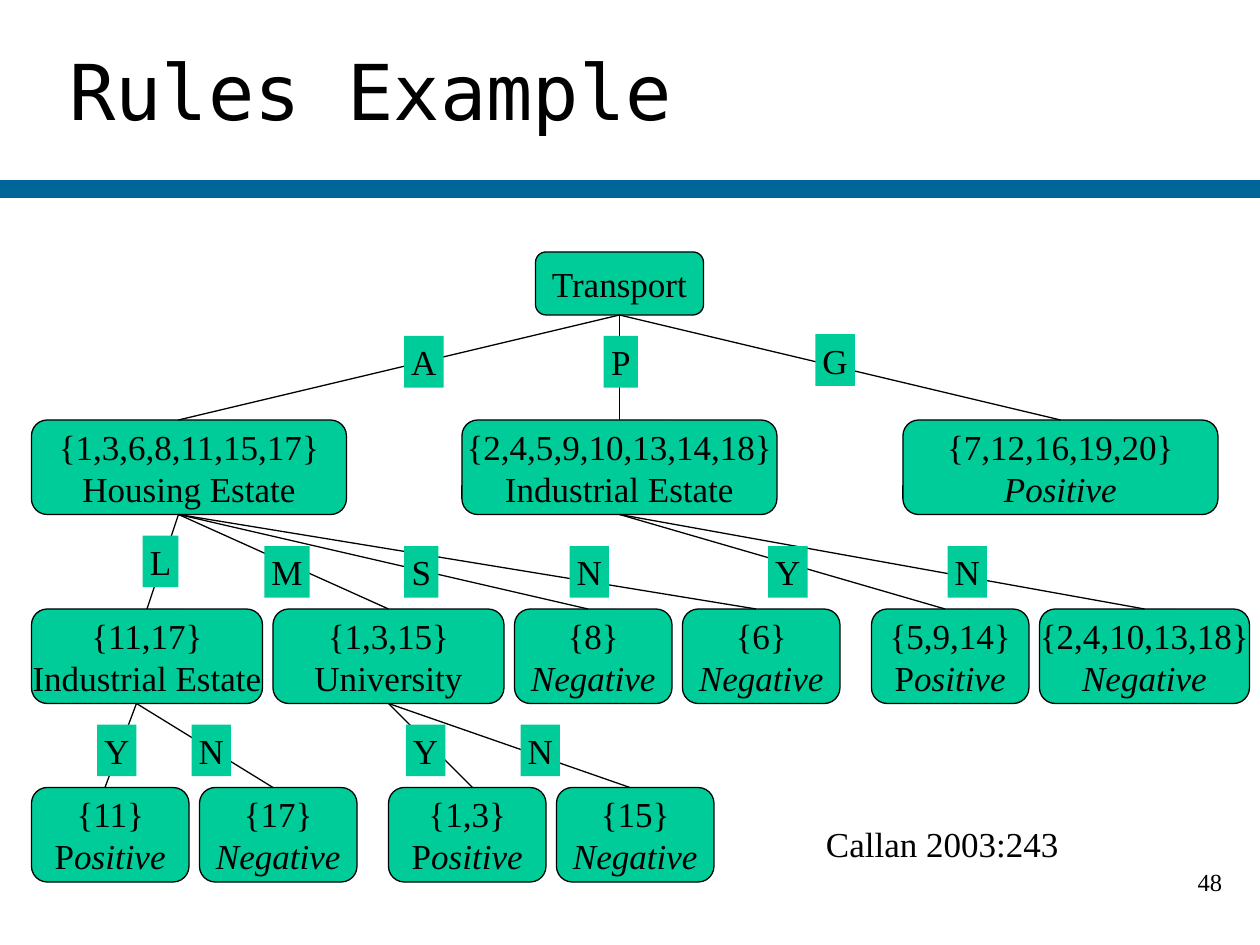
from lxml.etree import SubElement
from pptx import Presentation
from pptx.dml.color import RGBColor
from pptx.enum.shapes import MSO_CONNECTOR as Line, MSO_SHAPE as Shape
from pptx.enum.text import MSO_ANCHOR as Anchor, MSO_AUTO_SIZE as Fit, PP_ALIGN as Align
from pptx.oxml.ns import qn
from pptx.util import Pt

COLORS = {"node": "00CC99", "ink": "000000", "band": "006599"}
SERIF, MONO = "Times New Roman", "DejaVu Sans Mono"
TITLE = "Rules Example"

# Top and height of each level of the tree
ROWS = [(144, 36), (240, 54), (348, 54), (450, 54)]

# key: row, left, width, first line, upright text, italic text
NODES = {
    "root": (0, 306, 96, "Transport", "", ""),
    "house": (1, 18, 180, "{1,3,6,8,11,15,17}", "Housing Estate", ""),
    "plant": (1, 264, 180, "{2,4,5,9,10,13,14,18}", "Industrial Estate", ""),
    "green": (1, 516, 180, "{7,12,16,19,20}", "", "Positive"),
    "large": (2, 18, 132, "{11,17}", "Industrial Estate", ""),
    "mid": (2, 156, 132, "{1,3,15}", "University", ""),
    "small": (2, 294, 90, "{8}", "", "Negative"),
    "none": (2, 390, 90, "{6}", "", "Negative"),
    "yes": (2, 498, 90, "{5,9,14}", "P", "ositive"),
    "no": (2, 594, 120, "{2,4,10,13,18}", "", "Negative"),
    "large yes": (3, 18, 90, "{11}", "P", "ositive"),
    "large no": (3, 114, 90, "{17}", "", "Negative"),
    "mid yes": (3, 222, 90, "{1,3}", "P", "ositive"),
    "mid no": (3, 318, 90, "{15}", "", "Negative"),
}

# parent, child, letter, left and top of the letter tag
EDGES = [
    ("root", "house", "A", 231, 192),
    ("root", "plant", "P", 345, 192),
    ("root", "green", "G", 466, 191),
    ("house", "large", "L", 81.5, 306),
    ("house", "mid", "M", 151, 312),
    ("house", "small", "S", 231, 312),
    ("house", "none", "N", 325.5, 312),
    ("plant", "yes", "Y", 439, 312),
    ("plant", "no", "N", 541.5, 312),
    ("large", "large yes", "Y", 55.5, 414),
    ("large", "large no", "N", 109.5, 414),
    ("mid", "mid yes", "Y", 232, 414),
    ("mid", "mid no", "N", 297.5, 414),
]
TAG_W = {"P": 19.5, "S": 19.5, "L": 20.5, "M": 26}
TAG_H = 29.5

# Line ends that sit beside the middle of a node's side
IN_SHIFT = {"house": -6, "small": -3, "none": -3, "yes": -3, "large yes": -3,
            "large no": -3, "mid yes": 3, "mid no": -3}
OUT_SHIFT = {"house": -6, "large": -6}


def color(name):
    return RGBColor.from_string(COLORS[name])


def style(shape, size=20, face=SERIF, align=Align.CENTER, anchor=Anchor.MIDDLE, wrap=False):
    frame = shape.text_frame
    frame.auto_size = Fit.NONE
    frame.word_wrap = wrap
    frame.vertical_anchor = anchor
    frame.margin_left = frame.margin_right = Pt(3.6)
    frame.margin_top = frame.margin_bottom = Pt(3.6)
    for para in frame.paragraphs:
        para.alignment = align
        for run in para.runs:
            run.font.size, run.font.name = Pt(size), face
            run.font.color.rgb = color("ink")


def add_line(shapes, x1, y1, x2, y2, name="ink", width=0.75):
    line = shapes.add_connector(Line.STRAIGHT, Pt(x1), Pt(y1), Pt(x2), Pt(y2))
    line.line.color.rgb = color(name)
    line.line.width = Pt(width)
    SubElement(line._element.spPr, qn("a:effectLst"))
    return line


def add_box(shapes, kind, x, y, w, h):
    box = shapes.add_shape(kind, Pt(x), Pt(y), Pt(w), Pt(h))
    box.shadow.inherit = False
    box.fill.solid()
    box.fill.fore_color.rgb = color("node")
    return box


def add_node(shapes, row, x, w, head, plain, slant):
    y, h = ROWS[row]
    box = add_box(shapes, Shape.ROUNDED_RECTANGLE, x, y, w, h)
    box.line.color.rgb = color("ink")
    box.line.width = Pt(0.75)
    box.text_frame.text = head
    if plain or slant:
        para = box.text_frame.add_paragraph()
        for text, italic in ((plain, False), (slant, True)):
            if text:
                run = para.add_run()
                run.text = text
                run.font.italic = italic
    style(box)
    return box


def add_edge(shapes, boxes, start, end):
    """Draw a branch, glued wherever it meets the middle of a side."""
    row, x, w = NODES[start][:3]
    x1 = x + w / 2 + OUT_SHIFT.get(start, 0)
    y1 = sum(ROWS[row])
    row, x, w = NODES[end][:3]
    x2 = x + w / 2 + IN_SHIFT.get(end, 0)
    line = add_line(shapes, x1, y1, x2, ROWS[row][0])
    if start not in OUT_SHIFT:
        line.begin_connect(boxes[start], 2)
    if end not in IN_SHIFT:
        line.end_connect(boxes[end], 0)


def add_tag(shapes, letter, x, y):
    tag = add_box(shapes, Shape.RECTANGLE, x, y, TAG_W.get(letter, 22.5), TAG_H)
    tag.line.fill.background()
    tag.text_frame.text = letter
    style(tag)


def add_note(shapes, text, x, y, w, h, size, align):
    note = shapes.add_textbox(Pt(x), Pt(y), Pt(w), Pt(h))
    note.text_frame.text = text
    style(note, size, align=align, anchor=Anchor.TOP)


def main():
    deck = Presentation()
    deck.slide_width, deck.slide_height = Pt(720), Pt(540)
    slide = deck.slides.add_slide(deck.slide_layouts[5])
    shapes = slide.shapes

    title = shapes.title
    title.left, title.top, title.width, title.height = Pt(36), Pt(0), Pt(504), Pt(102)
    title.text_frame.text = TITLE
    style(title, 44, MONO, Align.LEFT, wrap=True)
    add_line(shapes, 0, 108, 720, 108, "band", 10)

    boxes = {key: add_node(shapes, *node) for key, node in NODES.items()}
    for start, end, *_ in EDGES:
        add_edge(shapes, boxes, start, end)
    for _, _, letter, x, y in EDGES:
        add_tag(shapes, letter, x, y)

    add_note(shapes, "Callan 2003:243", 468, 466.5, 141, 29.5, 20, Align.CENTER)
    add_note(shapes, "48", 678, 492, 24, 26, 14, Align.RIGHT)
    deck.save("out.pptx")


if __name__ == "__main__":
    main()
